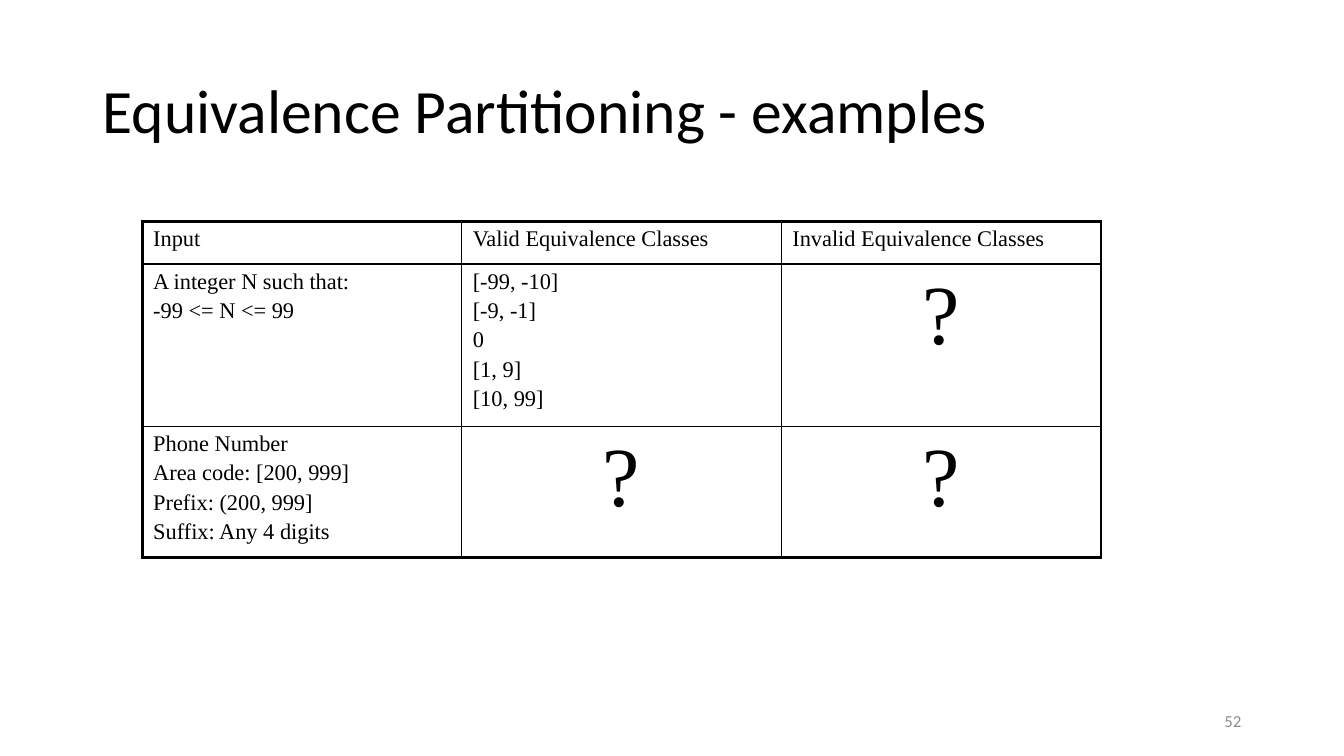
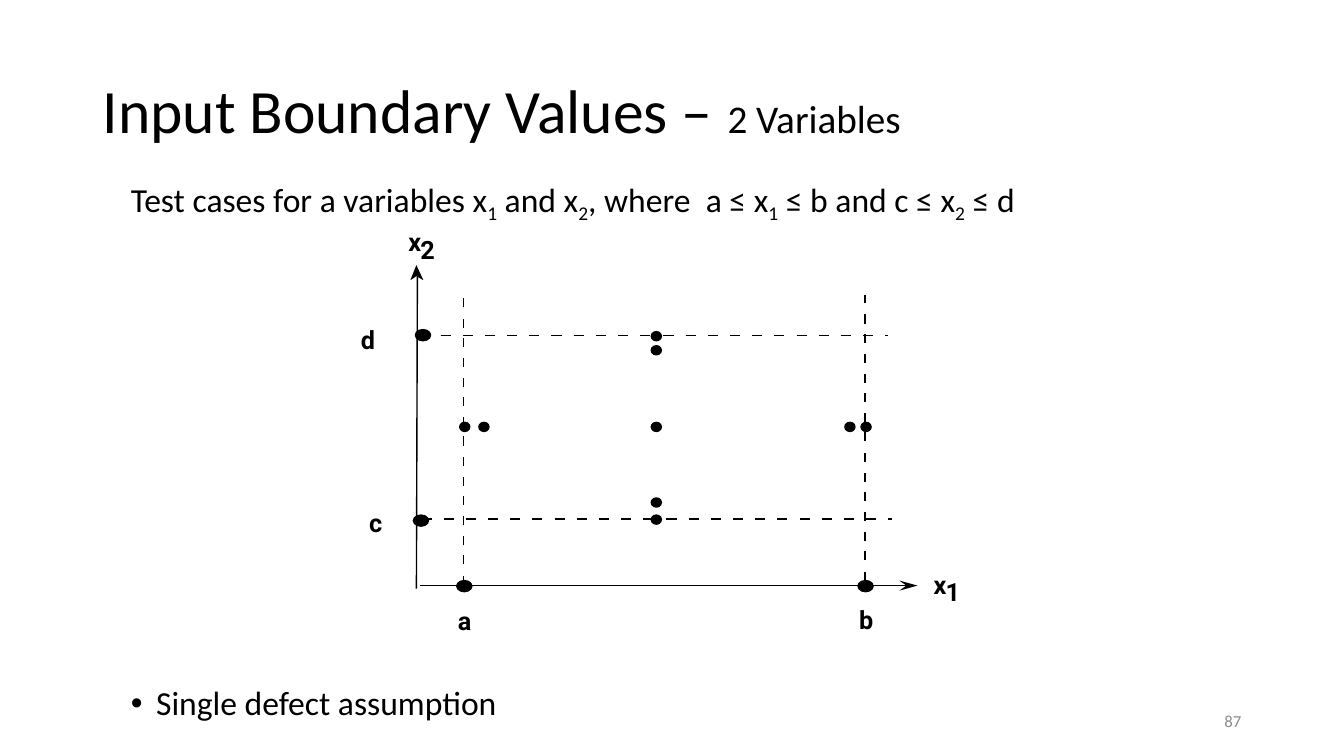
from dataclasses import dataclass
from itertools import product
from typing import Iterator, Optional

from lxml.etree import SubElement
from pptx import Presentation
from pptx.dml.color import RGBColor
from pptx.enum.shapes import MSO_CONNECTOR, MSO_SHAPE
from pptx.enum.text import MSO_ANCHOR as Anchor, PP_ALIGN as Align
from pptx.oxml.ns import qn
from pptx.util import Pt

PX = 9144  # one hundred px to the inch
COLORS = {"ink": "000000", "paper": "FFFFFF", "muted": "8C8C8C"}
SANS, SERIF, LABEL_FONT = "Calibri", "Times New Roman", "Roboto"
OUTER_BORDER, THIN = 2.25, 1


@dataclass(frozen=True)
class Span:
    text: str
    size: Optional[int] = None
    subscript: bool = False


@dataclass(frozen=True)
class Label:
    text: str
    left: int
    top: int


@dataclass(frozen=True)
class Dot:
    left: int
    top: int
    width: int
    height: int


@dataclass(frozen=True)
class Line:
    start: tuple[int, int]
    end: tuple[int, int]


@dataclass(frozen=True)
class Cell:
    lines: tuple[str, ...]
    size: int = 16
    align: Align = Align.LEFT


QUESTION = Cell(("?",), 60, Align.CENTER)
CLASS_ROWS = (
    (Cell(("Input",)), Cell(("Valid Equivalence Classes",)),
     Cell(("Invalid Equivalence Classes",))),
    (Cell(("A integer N such that:", "-99 <= N <= 99")),
     Cell(("[-99, -10]", "[-9, -1]", "0", "[1, 9]", "[10, 99]")), QUESTION),
    (Cell(("Phone Number", "Area code: [200, 999]", "Prefix: (200, 999]",
           "Suffix: Any 4 digits")), QUESTION, QUESTION),
)
ROW_HEIGHTS = (42, 151, 127)
COLUMN_WIDTH = 317

AXES = (Line((417, 581), (899, 581)), Line((413, 584), (414, 274)))
ARROWHEADS = (
    ((910, 581), (892, 586), (899, 581), (892, 576)),
    ((413, 263), (420, 278), (413, 274), (407, 278)),
)
BOUNDARIES = (
    Line((460, 580), (460, 296)), Line((858, 576), (858, 293)),
    Line((418, 515), (885, 515)), Line((415, 333), (881, 333)),
)
# Dash length and distance from one dash to the next
UPRIGHT_DASH, UPRIGHT_STEP = 9, 19.65
LEVEL_DASH, LEVEL_STEP = 10, 22.05
AXIS_MARKS = [Dot(left, top, 15, 11)
              for left, top in ((453, 576), (851, 576), (410, 511), (412, 327))]
CASE_POSITIONS = (*product((646,), (511, 494, 419, 343, 329)),
                  *product((456, 475, 838, 854), (419,)))
TEST_CASES = [Dot(left, top, 10, 9) for left, top in CASE_POSITIONS]
AXIS_LABELS = (
    Label("a", 454, 601), Label("b", 852, 600), Label("c", 366, 503), Label("d", 358, 322),
    Label("x", 405, 225), Label("2", 417, 232), Label("x", 926, 565), Label("1", 938, 572),
)


def rgb(name: str) -> RGBColor:
    return RGBColor.from_string(COLORS[name])


def set_font(target, name: str, size: int, color: str = "ink", bold: bool = False) -> None:
    font = target.font
    font.name, font.size, font.bold = name, Pt(size), bold
    font.color.rgb = rgb(color)


def add_text_box(slide, left: int, top: int, width: int, height: int,
                 anchor: Anchor = Anchor.TOP):
    box = slide.shapes.add_textbox(left * PX, top * PX, width * PX, height * PX)
    frame = box.text_frame
    frame.word_wrap = True
    frame.vertical_anchor = anchor
    return frame


def add_spans(paragraph, spans: tuple[Span, ...]) -> None:
    for span in spans:
        run = paragraph.add_run()
        run.text = span.text
        if span.size:
            run.font.size = Pt(span.size)
        if span.subscript:
            run._r.get_or_add_rPr().set("baseline", "-25000")


def add_base_slide(presentation, number: int, *title: Span):
    """Add a blank slide with the shared title and page number."""
    slide = presentation.slides.add_slide(presentation.slide_layouts[6])
    paragraph = add_text_box(slide, 92, 40, 1150, 145, Anchor.MIDDLE).paragraphs[0]
    paragraph.line_spacing = 0.9
    set_font(paragraph, SANS, 44)
    add_spans(paragraph, title)

    paragraph = add_text_box(slide, 941, 695, 300, 40, Anchor.MIDDLE).paragraphs[0]
    paragraph.text = str(number)
    paragraph.alignment = Align.RIGHT
    set_font(paragraph, SANS, 12, "muted")
    return slide


def set_borders(cell, widths: dict[str, float]) -> None:
    properties = cell._tc.get_or_add_tcPr()
    for position, (side, width) in enumerate(widths.items()):
        line = properties.makeelement(qn(f"a:{side}"), {"w": str(Pt(width))})
        fill = SubElement(line, qn("a:solidFill"))
        SubElement(fill, qn("a:srgbClr"), val=COLORS["ink"])
        properties.insert(position, line)


def fill_cell(cell, content: Cell) -> None:
    cell.fill.background()
    cell.margin_left = cell.margin_right = 11 * PX
    cell.margin_top = cell.margin_bottom = 5 * PX
    frame = cell.text_frame
    for index, text in enumerate(content.lines):
        paragraph = frame.add_paragraph() if index else frame.paragraphs[0]
        paragraph.alignment = content.align
        if index:
            paragraph.space_before = Pt(3.2)
        # Row heights follow the run size, so the font is set on the run
        run = paragraph.add_run()
        run.text = text
        set_font(run, SERIF, content.size)


def add_class_table(slide) -> None:
    row_count, column_count = len(CLASS_ROWS), len(CLASS_ROWS[0])
    table = slide.shapes.add_table(
        row_count, column_count, 141 * PX, 220 * PX,
        column_count * COLUMN_WIDTH * PX, sum(ROW_HEIGHTS) * PX).table
    table.first_row = table.horz_banding = False
    for column in table.columns:
        column.width = COLUMN_WIDTH * PX
    for row, height in zip(table.rows, ROW_HEIGHTS):
        row.height = height * PX
    for row, column in product(range(row_count), range(column_count)):
        cell = table.cell(row, column)
        fill_cell(cell, CLASS_ROWS[row][column])
        outer_sides = {"lnL": column == 0, "lnR": column == column_count - 1,
                       "lnT": row == 0, "lnB": row == row_count - 1}
        set_borders(cell, {side: OUTER_BORDER if outer else THIN
                           for side, outer in outer_sides.items()})


def split_into_dashes(line: Line) -> Iterator[Line]:
    """Yield the dashes of an upward or rightward line."""
    (x1, y1), (x2, y2) = line.start, line.end
    upright = x1 == x2
    dash, step = (UPRIGHT_DASH, UPRIGHT_STEP) if upright else (LEVEL_DASH, LEVEL_STEP)
    length = y1 - y2 if upright else x2 - x1
    for index in range(int(length / step) + 1):
        start = round(index * step)
        end = min(start + dash, length)
        if upright:
            yield Line((x1, y1 - start), (x1, y1 - end))
        else:
            yield Line((x1 + start, y1), (x1 + end, y1))


def add_line(slide, line: Line) -> None:
    (x1, y1), (x2, y2) = line.start, line.end
    connector = slide.shapes.add_connector(
        MSO_CONNECTOR.STRAIGHT, x1 * PX, y1 * PX, x2 * PX, y2 * PX)
    connector.line.width = Pt(THIN)
    connector.line.color.rgb = rgb("ink")
    SubElement(connector._element.spPr, qn("a:effectLst"))


def fill_with_ink(shape) -> None:
    shape.shadow.inherit = False
    shape.fill.solid()
    shape.fill.fore_color.rgb = rgb("ink")


def add_dot(slide, dot: Dot) -> None:
    shape = slide.shapes.add_shape(MSO_SHAPE.OVAL, dot.left * PX, dot.top * PX,
                                   dot.width * PX, dot.height * PX)
    fill_with_ink(shape)
    shape.line.color.rgb = rgb("ink")
    shape.line.width = Pt(THIN)


def add_arrowhead(slide, points: tuple[tuple[int, int], ...]) -> None:
    builder = slide.shapes.build_freeform(*points[0], scale=float(PX))
    builder.add_line_segments(points[1:], close=True)
    shape = builder.convert_to_shape()
    fill_with_ink(shape)
    shape.line.fill.background()


def add_label(slide, label: Label) -> None:
    frame = add_text_box(slide, label.left, label.top, 15, 30)
    frame.word_wrap = False
    frame.margin_left = frame.margin_right = frame.margin_top = frame.margin_bottom = 0
    paragraph = frame.paragraphs[0]
    paragraph.text = label.text
    set_font(paragraph, LABEL_FONT, 18, bold=True)


def add_boundary_text(slide) -> None:
    frame = add_text_box(slide, 120, 173, 950, 562)
    condition, assumption = frame.paragraphs[0], frame.add_paragraph()
    add_spans(condition, (
        Span("Test cases for a variables x"), Span("1", subscript=True),
        Span(" and x"), Span("2", subscript=True),
        Span(", where  a ≤ x"), Span("1", subscript=True),
        Span(" ≤ b and c ≤ x"), Span("2", subscript=True), Span(" ≤ d")))
    assumption.text = "Single defect assumption"
    assumption.space_before = Pt(333)  # leaves room for the diagram
    properties = assumption._p.get_or_add_pPr()
    properties.set("marL", str(25 * PX))
    properties.set("indent", str(-25 * PX))
    SubElement(properties, qn("a:buFont"), typeface="Arial")
    SubElement(properties, qn("a:buChar"), char="•")
    for paragraph in (condition, assumption):
        paragraph.line_spacing = 0.9
        set_font(paragraph, SANS, 24)


def add_boundary_diagram(slide) -> None:
    for line in AXES:
        add_line(slide, line)
    for boundary in BOUNDARIES:
        for dash in split_into_dashes(boundary):
            add_line(slide, dash)
    for points in ARROWHEADS:
        add_arrowhead(slide, points)
    for dot in (*AXIS_MARKS, *TEST_CASES):
        add_dot(slide, dot)
    for label in AXIS_LABELS:
        add_label(slide, label)


def main() -> None:
    presentation = Presentation()
    presentation.slide_width, presentation.slide_height = 1333 * PX, 750 * PX
    background = presentation.slide_master.background.fill
    background.solid()
    background.fore_color.rgb = rgb("paper")

    # Equivalence classes
    slide = add_base_slide(presentation, 52, Span("Equivalence Partitioning - examples"))
    add_class_table(slide)

    # Boundary values
    slide = add_base_slide(presentation, 87, Span("Input Boundary Values – "),
                           Span("2 Variables", 28))
    add_boundary_text(slide)
    add_boundary_diagram(slide)

    presentation.save("out.pptx")


if __name__ == "__main__":
    main()
